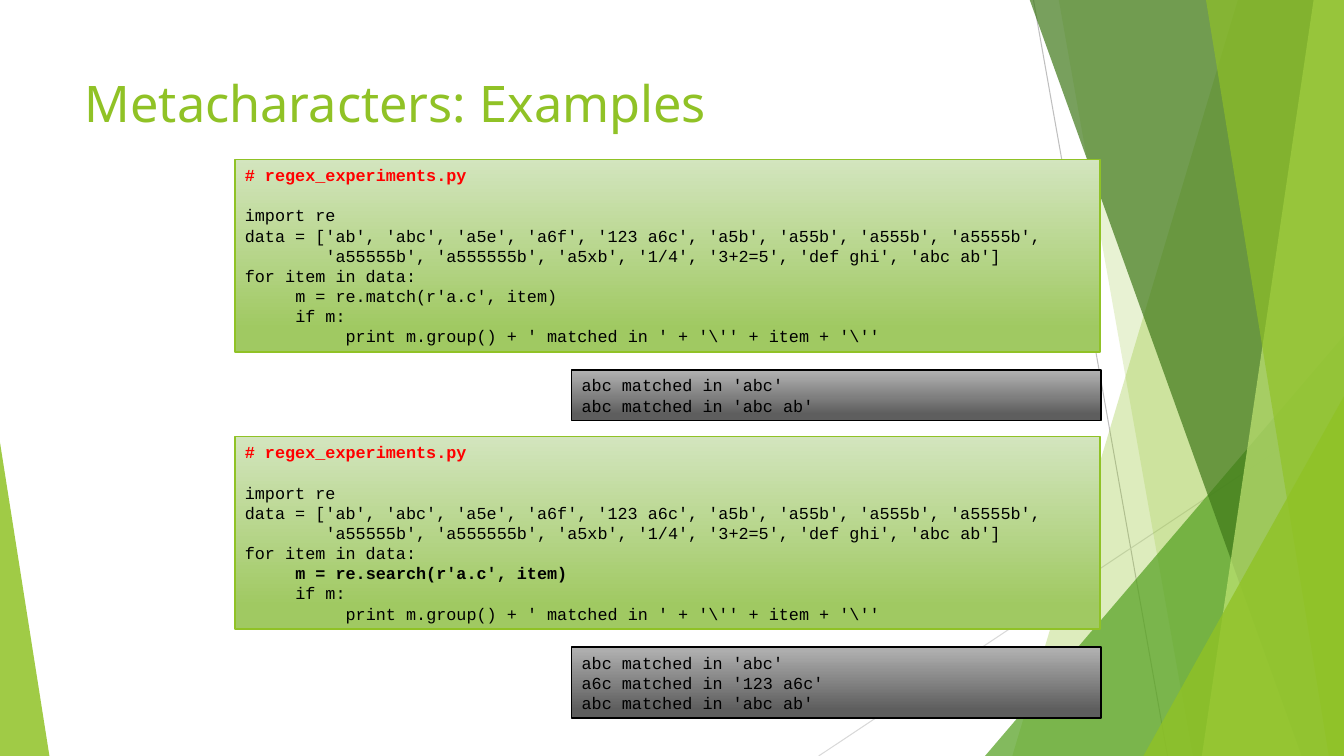
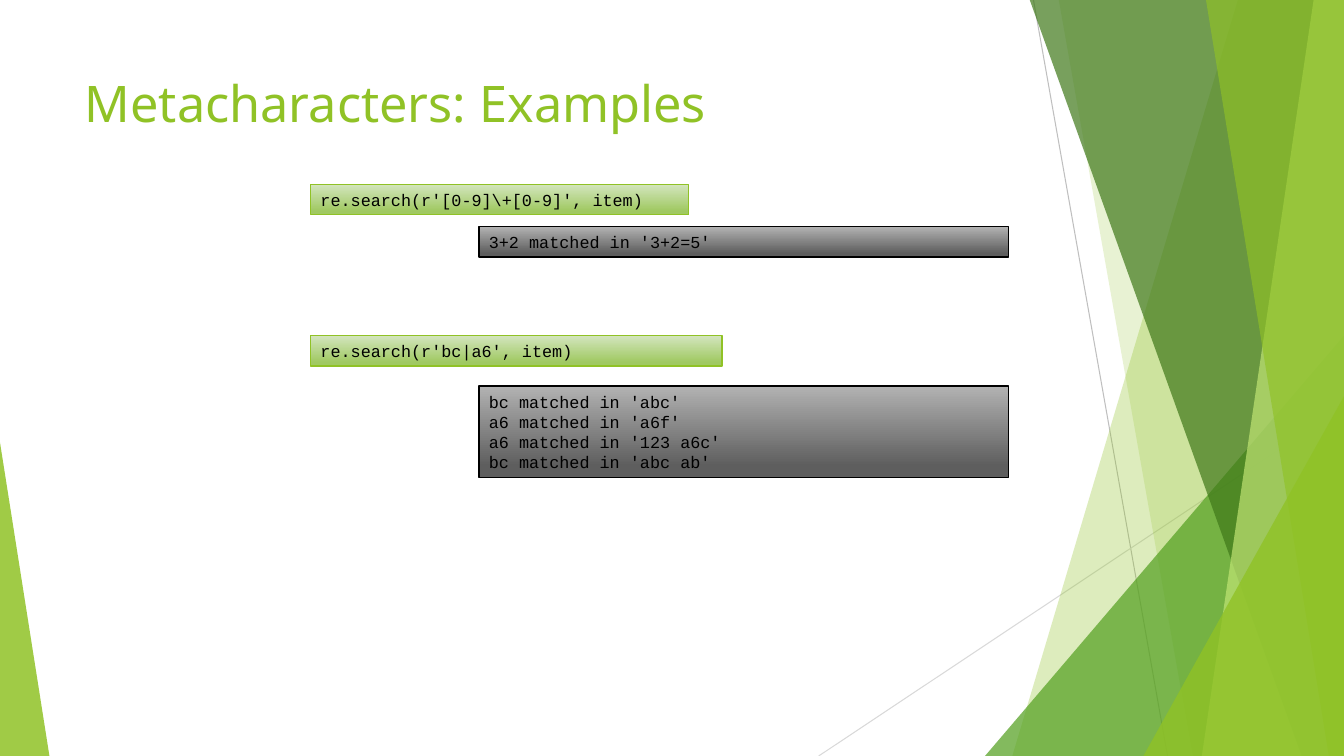
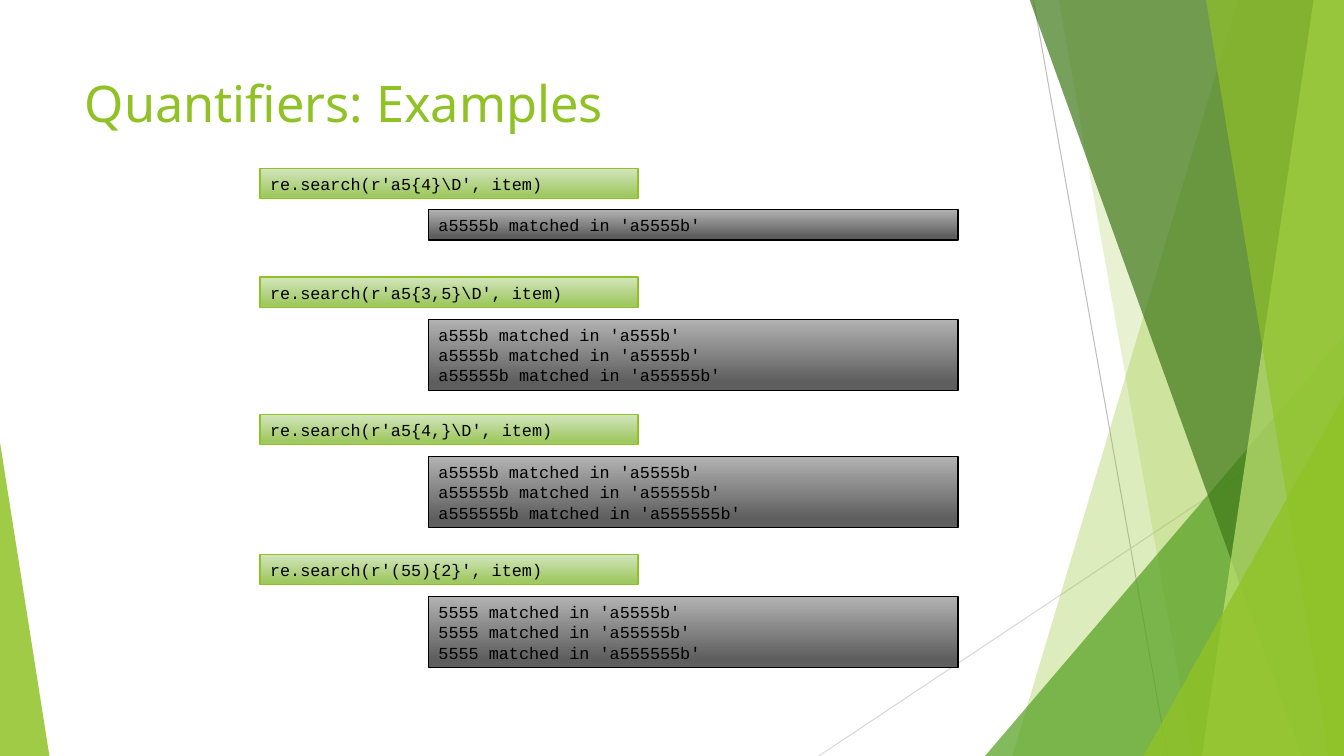
from dataclasses import dataclass

from lxml.etree import SubElement
from pptx import Presentation
from pptx.dml.color import RGBColor
from pptx.enum.shapes import MSO_CONNECTOR as Connector, MSO_SHAPE as Preset
from pptx.enum.text import MSO_ANCHOR as Anchor, MSO_AUTO_SIZE as AutoSize, PP_ALIGN as Align
from pptx.oxml.ns import qn
from pptx.util import Inches, Pt


@dataclass(frozen=True)
class Theme:
    accent: str = "90C226"
    leaf: str = "54A021"
    forest: str = "3F7819"
    lime: str = "C0E474"
    ink: str = "000000"
    comment: str = "FF0000"
    code_fade: tuple = ("D3E5BE", "A0C962")
    output_fade: tuple = ("B2B2B2", "5E5E5E")
    title_font: str = "Noto Sans"
    code_font: str = "Courier New"
    title_size: float = 36
    code_size: float = 12
    line_pitch: float = 14.4
    row_height: float = 14.5


THEME = Theme()
WIDTH, HEIGHT = 13.33, 7.5
OUTPUT_WIDTH = 5.25


def program(call, call_style="plain"):
    return [
        (0, "# regex_experiments.py", "comment"),
        (0, "import re", "after gap"),
        (0, "data = ['ab', 'abc', 'a5e', 'a6f', '123 a6c', 'a5b', 'a55b', 'a555b', 'a5555b',", "plain"),
        (0.8, "'a55555b', 'a555555b', 'a5xb', '1/4', '3+2=5', 'def ghi', 'abc ab']", "plain"),
        (0, "for item in data:", "plain"),
        (0.5, f"m = {call}", call_style),
        (0.5, "if m:", "plain"),
        (1, r"print m.group() + ' matched in ' + '\'' + item + '\''", "plain"),
    ]


def search(pattern):
    return [(0, f"re.search(r'{pattern}', item)", "plain")]


SLIDES = [
    {"title": "Metacharacters: Examples", "code_left": 2.33, "output_left": 5.67, "examples": [
        (1.58, 8.58, program("re.match(r'a.c', item)"),
         3.67, [("abc", "abc"), ("abc", "abc ab")]),
        (4.33, 8.58, program("re.search(r'a.c', item)", "bold"),
         6.42, [("abc", "abc"), ("a6c", "123 a6c"), ("abc", "abc ab")]),
    ]},
    {"title": "Metacharacters: Examples", "code_left": 3.08, "output_left": 4.75, "examples": [
        (1.83, 3.75, search(r"[0-9]\+[0-9]"), 2.25, [("3+2", "3+2=5")]),
        (3.33, 4.08, search("bc|a6"),
         3.83, [("bc", "abc"), ("a6", "a6f"), ("a6", "123 a6c"), ("bc", "abc ab")]),
    ]},
    {"title": "Quantifiers: Examples", "code_left": 2.58, "output_left": 4.25, "examples": [
        (1.67, 3.75, search(r"a5{4}\D"), 2.08, [("a5555b", "a5555b")]),
        (2.75, 3.75, search(r"a5{3,5}\D"),
         3.17, [("a555b", "a555b"), ("a5555b", "a5555b"), ("a55555b", "a55555b")]),
        (4.11, 3.75, search(r"a5{4,}\D"),
         4.53, [("a5555b", "a5555b"), ("a55555b", "a55555b"), ("a555555b", "a555555b")]),
        (5.5, 3.75, search("(55){2}"),
         5.92, [("5555", "a5555b"), ("5555", "a55555b"), ("5555", "a555555b")]),
    ]},
]

RAYS = [((10.25, 0), (11.58, HEIGHT), "BFBFBF"), ((WIDTH, 4.03), (8.12, HEIGHT), "D9D9D9")]
FACETS = [
    ("band", 12.28, 10.04, THEME.accent, 30),
    ("band", 10.5, 11.83, THEME.accent, 20),
    ("peak", (9.77, 3.33, 3.56, 4.17), 1, THEME.leaf, 72),
    ("band", 10.21, 12.91, THEME.forest, 70),
    ("band", 13.03, 11.92, THEME.lime, 70),
    ("band", 11.96, 13.18, THEME.accent, 65),
    ("peak", (11.34, 3.93, 1.99, 3.57), 1, THEME.accent, 80),
    ("peak", (0, 4.39, 0.49, 3.11), 0, THEME.accent, 85),
]


def rgb(code):
    return RGBColor.from_string(code)


def add_ray(group, start, end, color):
    ray = group.shapes.add_connector(Connector.STRAIGHT, *map(Inches, start + end))
    ray.line.color.rgb = rgb(color)
    ray.line.width = Pt(0.75)
    SubElement(ray.element.spPr, qn("a:effectLst"))


def add_band(group, top_x, bottom_x):
    corners = [(top_x, -0.01), (WIDTH, -0.01), (WIDTH, HEIGHT), (bottom_x, HEIGHT)]
    start, *rest = [(Inches(x), Inches(y)) for x, y in corners]
    outline = group.shapes.build_freeform(*start)
    outline.add_line_segments(rest, close=True)
    return outline.convert_to_shape()


def add_peak(group, place, apex):
    peak = group.shapes.add_shape(Preset.ISOSCELES_TRIANGLE, *map(Inches, place))
    peak.adjustments[0] = apex
    return peak


def add_facet(group, kind, first, second, color, opacity):
    facet = {"band": add_band, "peak": add_peak}[kind](group, first, second)
    facet.shadow.inherit = False
    facet.fill.solid()
    facet.fill.fore_color.rgb = rgb(color)
    tint = facet.element.spPr.find(qn("a:solidFill"))[0]
    SubElement(tint, qn("a:alpha"), val=str(opacity * 1000))
    facet.line.fill.background()


def dress_layout(layout, slide):
    heading = layout.placeholders[0]
    heading.left, heading.top, heading.width, heading.height = map(Inches, (0.74, 0.67, 9.4, 1.44))
    backdrop = slide.shapes.add_group_shape()
    for ray in RAYS:
        add_ray(backdrop, *ray)
    for facet in FACETS:
        add_facet(backdrop, *facet)
    for number, label in enumerate(backdrop.element.iter(qn("p:cNvPr")), 100):
        label.set("id", str(number))
    layout.shapes.element.insert(2, backdrop.element)


def add_run(paragraph, text, font, size, color, bold=False):
    run = paragraph.add_run()
    run.text = text
    run.font.name = font
    run.font.size = Pt(size)
    run.font.color.rgb = rgb(color)
    run.font.bold = bold


def set_title(slide, text):
    frame = slide.shapes.title.text_frame
    frame.vertical_anchor = Anchor.TOP
    frame.paragraphs[0].alignment = Align.LEFT
    add_run(frame.paragraphs[0], text, THEME.title_font, THEME.title_size, THEME.accent)


def add_panel(slide, left, top, width, lines, fade, border):
    rows = len(lines) + sum(style == "after gap" for _, _, style in lines)
    height = Inches(0.1) + rows * Pt(THEME.row_height)
    panel = slide.shapes.add_shape(Preset.RECTANGLE, Inches(left), Inches(top), Inches(width), height)
    panel.shadow.inherit = False
    panel.fill.gradient()
    panel.fill.gradient_angle = 270
    for stop, color, position in zip(panel.fill.gradient_stops, fade, (0, 0.88)):
        stop.color.rgb = rgb(color)
        stop.position = position
    panel.line.color.rgb = rgb(border)
    panel.line.width = Pt(1)

    frame = panel.text_frame
    frame.word_wrap = True
    frame.auto_size = AutoSize.SHAPE_TO_FIT_TEXT
    frame.vertical_anchor = Anchor.MIDDLE
    for index, (indent, text, style) in enumerate(lines):
        paragraph = frame.add_paragraph() if index else frame.paragraphs[0]
        paragraph.alignment = Align.LEFT
        paragraph.line_spacing = Pt(THEME.line_pitch)
        if style == "after gap":
            paragraph.space_before = Pt(THEME.line_pitch)
        if indent:
            paragraph._p.get_or_add_pPr().set("marL", str(Inches(indent)))
        color = THEME.comment if style == "comment" else THEME.ink
        add_run(paragraph, text, THEME.code_font, THEME.code_size, color, style in ("comment", "bold"))


deck = Presentation()
deck.slide_width, deck.slide_height = Inches(WIDTH), Inches(HEIGHT)
title_only = deck.slide_layouts[5]

for position, content in enumerate(SLIDES):
    slide = deck.slides.add_slide(title_only)
    if position == 0:
        dress_layout(title_only, slide)
    set_title(slide, content["title"])
    for code_top, code_width, code, output_top, matches in content["examples"]:
        output = [(0, f"{found} matched in '{item}'", "plain") for found, item in matches]
        add_panel(slide, content["code_left"], code_top, code_width, code, THEME.code_fade, THEME.accent)
        add_panel(slide, content["output_left"], output_top, OUTPUT_WIDTH, output, THEME.output_fade, THEME.ink)

deck.save("out.pptx")
